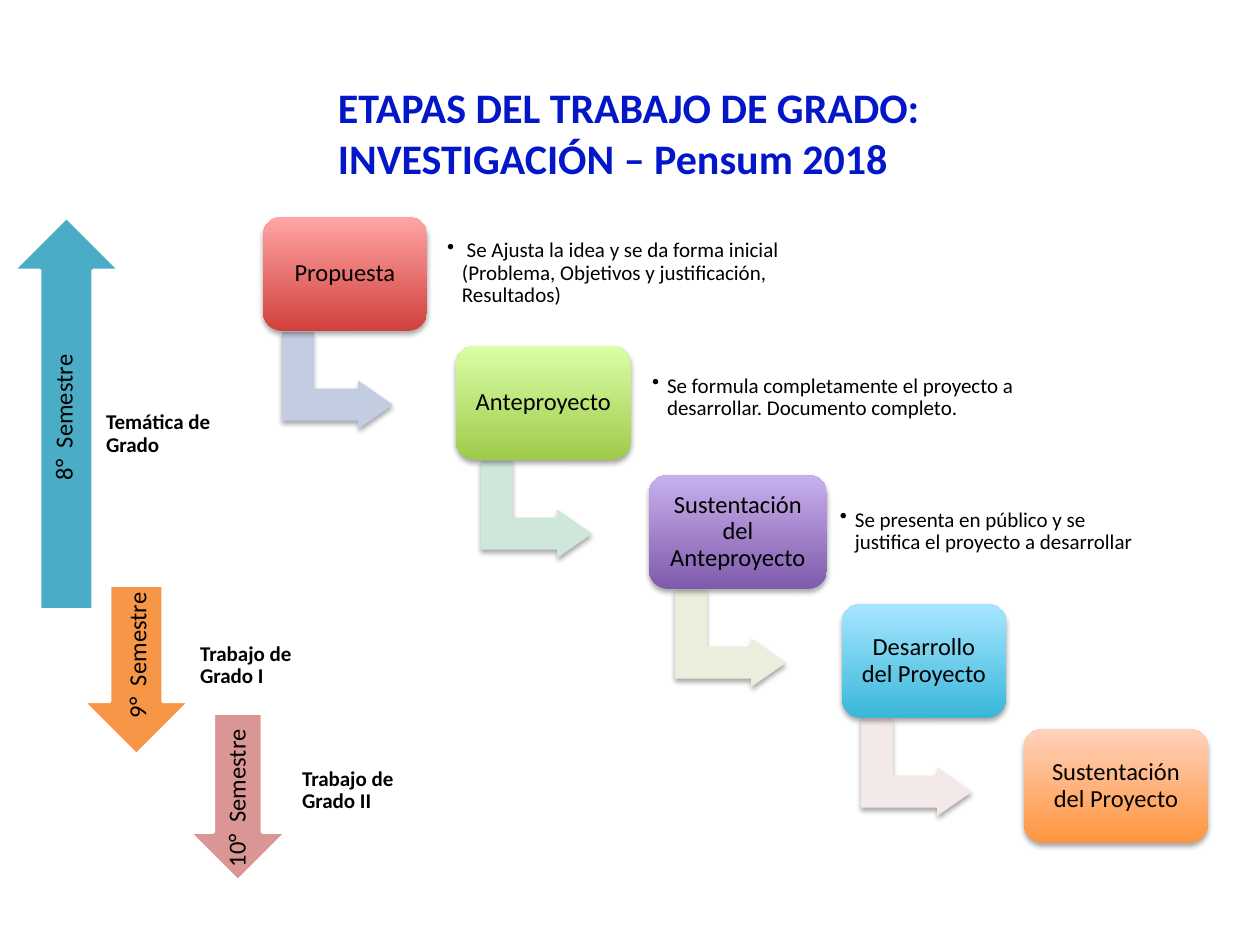
"""Build the slide on the stages of the degree project."""
import lxml.etree
import pptx
import pptx.dml.color
import pptx.enum.shapes
import pptx.enum.text
import pptx.oxml.ns
import pptx.util

SCALE = 914400 / 126
SHAPES = pptx.enum.shapes.MSO_SHAPE
ALIGN = pptx.enum.text.PP_ALIGN
ANCHOR = pptx.enum.text.MSO_ANCHOR
qn = pptx.oxml.ns.qn
rgb = pptx.dml.color.RGBColor.from_string

THEME = {
    "font": "Calibri", "title": "0417C8", "text": "000000", "edge": "FFFFFF",
    "title_size": 24, "step_size": 14, "note_size": 12,
    "red": ("D1403C", "FFA6A5"), "green": ("A0CA4A", "DAFFA5"),
    "purple": ("7F5BAB", "C8B0ED"), "cyan": ("39B7D8", "A7E6FF"),
    "orange": ("FF953E", "FFD2BD"),
    "elbows": ("C2CDE1", "CFE7DA", "EAEEDC", "F4E9E9"),
    "semesters": ("4BACC6", "F79646", "D99694"),
}


def px(*lengths):
    return [pptx.util.Emu(round(length * SCALE)) for length in lengths]


def write(shape, text, size=THEME["note_size"], color=THEME["text"], bold=False, align=ALIGN.LEFT,
          anchor=ANCHOR.MIDDLE, insets=(6, 6, 6, 6), spacing=0.9, bullet=False):
    frame = shape.text_frame
    frame.word_wrap = True
    frame.vertical_anchor = anchor
    frame.margin_left, frame.margin_top, frame.margin_right, frame.margin_bottom = px(*insets)
    para = frame.paragraphs[0]
    para.alignment = align
    para.line_spacing = spacing
    span = para.add_run()
    span.text = text
    span.font.name = THEME["font"]
    span.font.size = pptx.util.Pt(size)
    span.font.bold = bold
    span.font.color.rgb = rgb(color)
    if bullet:
        properties = para._p.get_or_add_pPr()
        indent = px(15)[0]
        properties.set("marL", str(indent))
        properties.set("indent", str(-indent))
        lxml.etree.SubElement(properties, qn("a:buChar")).set("char", "•")


deck = pptx.Presentation()
deck.slide_width, deck.slide_height = px(1260, 945)
page = deck.slides.add_slide(deck.slide_layouts[6])

title = page.shapes.add_textbox(*px(325, 76, 804, 115))
write(title, "ETAPAS DEL TRABAJO DE GRADO: INVESTIGACIÓN – Pensum 2018", size=THEME["title_size"],
      color=THEME["title"], bold=True, anchor=ANCHOR.TOP, insets=(13, 6, 13, 6), spacing=1.0)

elbows = []
for index, (left, color) in enumerate(zip((289, 488, 682, 868), THEME["elbows"])):
    elbow = page.shapes.add_shape(SHAPES.BENT_UP_ARROW, *px(left, 325 + 129 * index, 97, 111))
    elbow.rotation = 90
    for position, value in enumerate((0.33, 0.25, 0.36)):
        elbow.adjustments[position] = value
    elbow.fill.solid()
    elbow.fill.fore_color.rgb = rgb(color)
    elbows.append(elbow)

steps = []
for left, top, width, text, color in (
    (263, 217, 164, "Propuesta", "red"),
    (456, 346, 175, "Anteproyecto", "green"),
    (649, 475, 178, "Sustentación del Anteproyecto", "purple"),
    (842, 604, 164, "Desarrollo del Proyecto", "cyan"),
    (1024, 729, 184, "Sustentación del Proyecto", "orange"),
):
    step = page.shapes.add_shape(SHAPES.ROUNDED_RECTANGLE, *px(left, top, width, 114))
    step.fill.gradient()
    step.fill.gradient_angle = 90
    for stop, position, shade in zip(step.fill.gradient_stops, (0, 1), THEME[color]):
        stop.position = position
        stop.color.rgb = rgb(shade)
    write(step, text, size=THEME["step_size"], align=ALIGN.CENTER, insets=(8, 8, 8, 8))
    steps.append(step)

for shape in elbows + steps:
    shape.line.fill.background()
    shape.shadow.inherit = False
    effects = shape._element.spPr.find(qn("a:effectLst"))
    shadow = lxml.etree.SubElement(effects, qn("a:outerShdw"), blurRad="39400", dist="22900",
                                   dir="5400000", rotWithShape="0")
    shade = lxml.etree.SubElement(shadow, qn("a:srgbClr"), val=THEME["text"])
    lxml.etree.SubElement(shade, qn("a:alpha"), val="35000")

for left, top, width, text in (
    (441, 227, 357, " Se Ajusta la idea y se da forma inicial (Problema, Objetivos y justificación, Resultados)"),
    (646, 351, 394, "Se formula completamente el proyecto a desarrollar. Documento completo."),
    (834, 485, 314, "Se presenta en público y se justifica el proyecto a desarrollar"),
):
    note = page.shapes.add_textbox(*px(left, top, width, 93))
    write(note, text, bullet=True)

semesters = (
    (SHAPES.UP_ARROW, (13, 217, 107, 393), "8°  Semestre", (-26, 382, 179, 43),
     "Temática de Grado", (94, 271, 183, 339)),
    (SHAPES.DOWN_ARROW, (83, 585, 107, 170), "9°  Semestre", (58, 630, 159, 43),
     "Trabajo de Grado I", (188, 587, 135, 169)),
    (SHAPES.DOWN_ARROW, (189, 713, 98, 168), "10°  Semestre", (147, 769, 179, 43),
     "Trabajo de Grado II", (290, 712, 135, 169)),
)
for (kind, arrow_place, name, name_place, stage, stage_place), color in zip(semesters, THEME["semesters"]):
    arrow = page.shapes.add_shape(kind, *px(*arrow_place))
    arrow.shadow.inherit = False
    arrow.fill.solid()
    arrow.fill.fore_color.rgb = rgb(color)
    arrow.line.color.rgb = rgb(THEME["edge"])
    arrow.line.width = pptx.util.Pt(2)
    label = page.shapes.add_textbox(*px(*name_place))
    label.rotation = 270
    write(label, name, size=THEME["step_size"], anchor=ANCHOR.TOP, insets=(13, 6, 13, 6), spacing=1.0)
    caption = page.shapes.add_textbox(*px(*stage_place))
    write(caption, stage, bold=True, insets=(12, 0, 12, 12))

deck.save("out.pptx")
